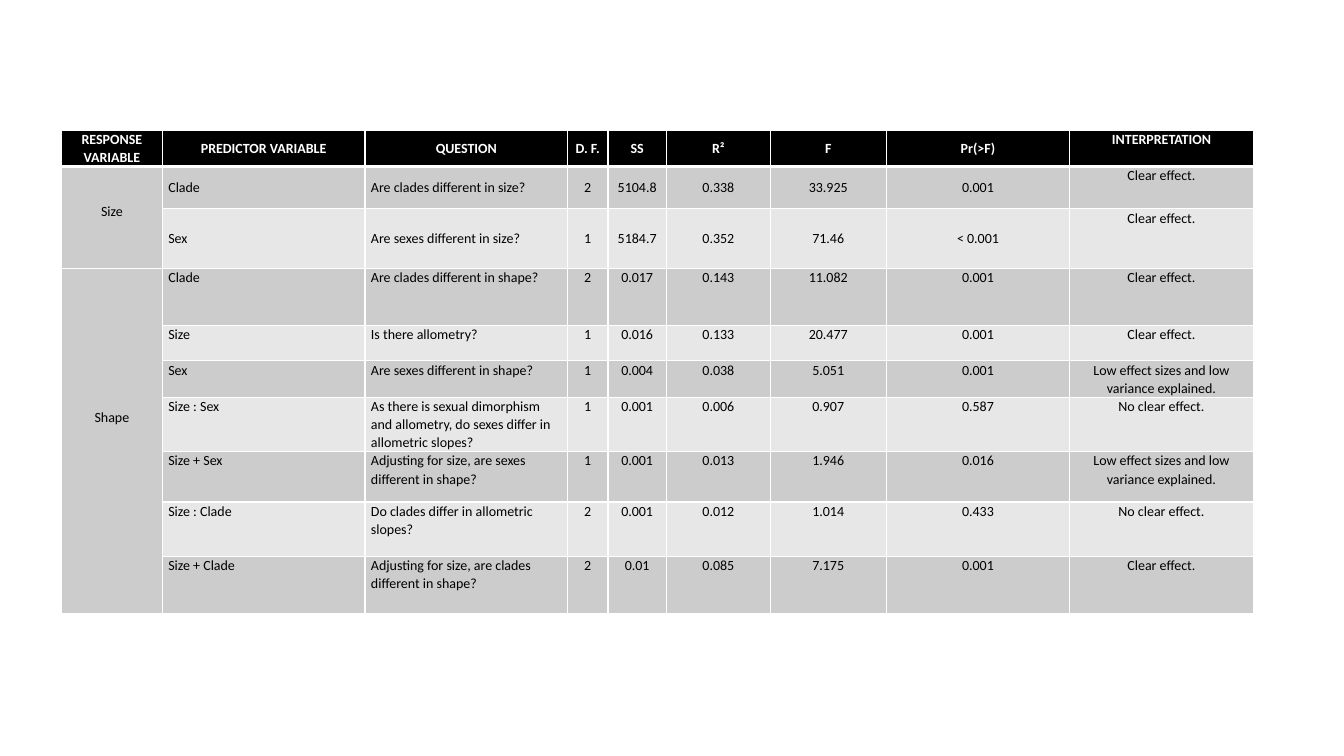
import lxml.etree
import pptx
import pptx.dml.color
import pptx.enum.text
import pptx.oxml.ns
import pptx.util

Inches = pptx.util.Inches
Pt = pptx.util.Pt
ALIGN = pptx.enum.text.PP_ALIGN
ANCHOR = pptx.enum.text.MSO_ANCHOR

COLOURS = {"header": "000000", "dark": "CCCCCC", "light": "E7E7E7",
           "white": "FFFFFF", "text": "000000"}
FONT = "Calibri"

COLUMN_WIDTHS = [1, 2.01, 2.01, 0.4, 0.58, 1.03, 1.15, 1.82, 1.82]
ROW_HEIGHTS = [0.35, 0.42, 0.59, 0.57, 0.35, 0.36, 0.54, 0.5, 0.54, 0.57]

HEADER = ["RESPONSE VARIABLE", "PREDICTOR VARIABLE", "QUESTION", "D. F.", "SS",
          "R²", "F", "Pr(>F)", "INTERPRETATION"]
CLEAR, UNCLEAR = "Clear effect.", "No clear effect."
LOW = "Low effect sizes and low variance explained."

# Response variable: (top margin of its merged cell, model terms)
RESPONSES = {
    "Size": (0.35, [
        ["Clade", "Are clades different in size?",
         "2", "5104.8", "0.338", "33.925", "0.001", CLEAR],
        ["Sex", "Are sexes different in size?",
         "1", "5184.7", "0.352", "71.46", "< 0.001", CLEAR],
    ]),
    "Shape": (1.39, [
        ["Clade", "Are clades different in shape?",
         "2", "0.017", "0.143", "11.082", "0.001", CLEAR],
        ["Size", "Is there allometry?",
         "1", "0.016", "0.133", "20.477", "0.001", CLEAR],
        ["Sex", "Are sexes different in shape?",
         "1", "0.004", "0.038", "5.051", "0.001", LOW],
        ["Size : Sex", "As there is sexual dimorphism and allometry, "
         "do sexes differ in allometric slopes?",
         "1", "0.001", "0.006", "0.907", "0.587", UNCLEAR],
        ["Size + Sex", "Adjusting for size, are sexes different in shape?",
         "1", "0.001", "0.013", "1.946", "0.016", LOW],
        ["Size : Clade", "Do clades differ in allometric slopes?",
         "2", "0.001", "0.012", "1.014", "0.433", UNCLEAR],
        ["Size + Clade", "Adjusting for size, are clades different in shape?",
         "2", "0.01", "0.085", "7.175", "0.001", CLEAR],
    ]),
}


def rgb(name):
    return pptx.dml.color.RGBColor.from_string(COLOURS[name])


def apply(target, values):
    for name, value in values.items():
        setattr(target, name, value)


def add_borders(cell, bottom):
    """Draw white rules on all four sides of a cell."""
    properties = cell._tc.get_or_add_tcPr()
    for side, width in {"L": 1, "R": 1, "T": 1, "B": bottom}.items():
        line = lxml.etree.SubElement(properties, pptx.oxml.ns.qn(f"a:ln{side}"),
                                     w=str(Pt(width)))
        fill = lxml.etree.SubElement(line, pptx.oxml.ns.qn("a:solidFill"))
        lxml.etree.SubElement(fill, pptx.oxml.ns.qn("a:srgbClr"),
                              val=COLOURS["white"])


def style_cell(cell, fill, bottom=1):
    add_borders(cell, bottom)
    cell.fill.solid()
    cell.fill.fore_color.rgb = rgb(fill)


def write_cell(cell, text, align=ALIGN.CENTER, anchor=ANCHOR.TOP, top=0,
               colour="text", bold=False):
    apply(cell, {"margin_left": Inches(0.06), "margin_right": Inches(0.06),
                 "margin_top": Inches(top), "margin_bottom": 0,
                 "vertical_anchor": anchor})
    para = cell.text_frame.paragraphs[0]
    apply(para, {"alignment": align, "line_spacing": 1.07, "space_after": Pt(12)})
    span = para.add_run()
    span.text = text
    apply(span.font, {"name": FONT, "size": Pt(10), "bold": bold})
    span.font.color.rgb = rgb(colour)


def add_grid(page):
    frame = page.shapes.add_table(
        len(ROW_HEIGHTS), len(COLUMN_WIDTHS), Inches(0.61), Inches(1.29),
        Inches(sum(COLUMN_WIDTHS)), Inches(sum(ROW_HEIGHTS)))
    table = frame.table
    for column, width in zip(table.columns, COLUMN_WIDTHS):
        column.width = Inches(width)
    for row, height in zip(table.rows, ROW_HEIGHTS):
        row.height = Inches(height)
    return table


def fill_header(table):
    last = len(HEADER) - 1
    for column, label in enumerate(HEADER):
        cell = table.cell(0, column)
        style_cell(cell, "header", bottom=3)
        anchor = ANCHOR.TOP if column in (0, last) else ANCHOR.MIDDLE
        write_cell(cell, label, anchor=anchor, colour="white", bold=True)


def fill_term(table, row, values, middle):
    """Write one model term; only the predictor and question align left."""
    for column, value in enumerate(values, start=1):
        cell = table.cell(row, column)
        style_cell(cell, "dark" if row % 2 else "light")
        centred = middle and column < len(values)
        write_cell(cell, value,
                   align=ALIGN.LEFT if column <= 2 else ALIGN.CENTER,
                   anchor=ANCHOR.MIDDLE if centred else ANCHOR.TOP)


def fill_responses(table):
    first = 1
    for response, (top, terms) in RESPONSES.items():
        for row, values in enumerate(terms, start=first):
            style_cell(table.cell(row, 0), "dark")
            fill_term(table, row, values, middle=response == "Size")
        label = table.cell(first, 0)
        label.merge(table.cell(first + len(terms) - 1, 0))
        write_cell(label, response, top=top)
        first += len(terms)


def main():
    deck = pptx.Presentation()
    apply(deck, {"slide_width": Inches(13.33), "slide_height": Inches(7.5)})
    page = deck.slides.add_slide(deck.slide_layouts[6])
    table = add_grid(page)
    fill_header(table)
    fill_responses(table)
    deck.save("out.pptx")


if __name__ == "__main__":
    main()
